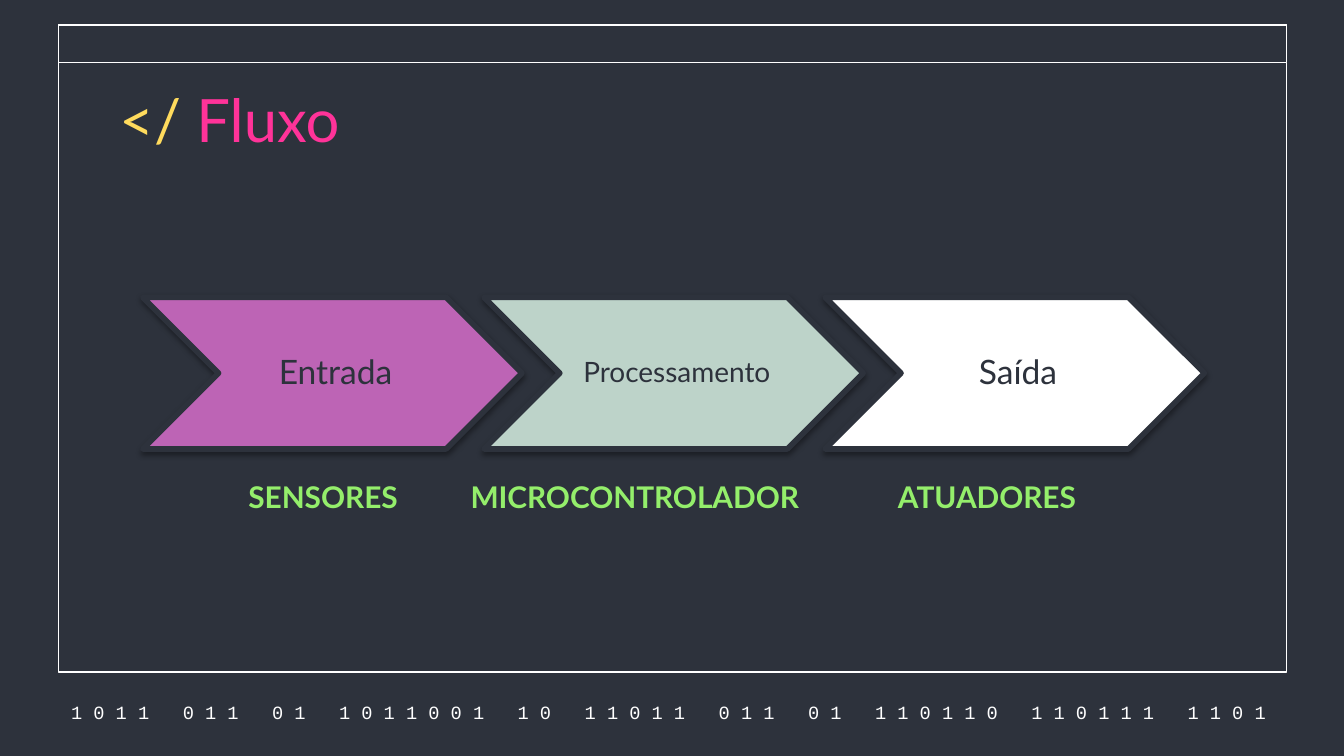
from lxml import etree
from pptx import Presentation
from pptx.dml.color import RGBColor
from pptx.enum.shapes import MSO_SHAPE
from pptx.enum.text import MSO_ANCHOR, PP_ALIGN
from pptx.oxml.ns import qn
from pptx.util import Pt

RECT, CHEVRON = MSO_SHAPE.RECTANGLE, MSO_SHAPE.CHEVRON
TOP, MIDDLE = MSO_ANCHOR.TOP, MSO_ANCHOR.MIDDLE
LEFT, CENTER = PP_ALIGN.LEFT, PP_ALIGN.CENTER

DARK, WHITE = "2D323C", "FFFFFF"
YELLOW, PINK, GREEN = "FFDB5D", "FF3399", "94EE6B"


def rgb(value):
    return RGBColor.from_string(value)


def add_run(p, text, size=18, color=WHITE, font="Lato", bold=False, spacing=0):
    r = p.add_run()
    r.text = text
    r.font.size = Pt(size)
    r.font.name = font
    r.font.bold = bold
    r.font.color.rgb = rgb(color)
    if spacing:
        r.font._element.set("spc", str(spacing * 100))
    return r


class SlideBuilder:
    def __init__(self, prs):
        self.s = prs.slides.add_slide(prs.slide_layouts[6])
        fill = self.s.background.fill
        fill.solid()
        fill.fore_color.rgb = rgb(DARK)

    def shape(self, kind, x, y, w, h, fill, line, line_width):
        sp = self.s.shapes.add_shape(kind, Pt(x), Pt(y), Pt(w), Pt(h))
        sp.shadow.inherit = False
        sp.fill.solid()
        sp.fill.fore_color.rgb = rgb(fill)
        sp.line.color.rgb = rgb(line)
        sp.line.width = Pt(line_width)
        return sp

    def paragraph(self, sp, inset=7.2, anchor=TOP, align=LEFT, wrap=True):
        tf = sp.text_frame
        tf.word_wrap = wrap
        tf.vertical_anchor = anchor
        tf.margin_left = tf.margin_right = Pt(inset)
        tf.margin_top = tf.margin_bottom = Pt(min(inset, 3.6))
        p = tf.paragraphs[0]
        p.alignment = align
        return p

    def text_box(self, x, y, w, h, **layout):
        sp = self.s.shapes.add_textbox(Pt(x), Pt(y), Pt(w), Pt(h))
        return self.paragraph(sp, **layout)

    def step(self, x, y, w, h, text, fill, size):
        sp = self.shape(CHEVRON, x, y, w, h, fill, DARK, 3)
        self.shadow(sp)
        p = self.paragraph(sp, inset=2, anchor=MIDDLE, align=CENTER)
        sp.text_frame.margin_left = Pt(5.5)
        p.line_spacing = 0.9
        add_run(p, text, size=size, color=DARK)

    def shadow(self, sp):
        effects = sp._element.spPr.find(qn("a:effectLst"))
        outer = etree.SubElement(
            effects, qn("a:outerShdw"), blurRad=str(Pt(3.1)),
            dist=str(Pt(1.6)), dir="5400000", rotWithShape="0")
        color = etree.SubElement(outer, qn("a:srgbClr"), val="000000")
        etree.SubElement(color, qn("a:alpha"), val="38000")

    def tabs(self, p, stops):
        tab_list = etree.SubElement(p._p.get_or_add_pPr(), qn("a:tabLst"))
        for stop in stops:
            etree.SubElement(tab_list, qn("a:tab"), pos=str(Pt(stop)), algn="l")


def main():
    prs = Presentation()
    prs.slide_width, prs.slide_height = Pt(720), Pt(405)
    slide = SlideBuilder(prs)

    # Window frame and its title bar
    for height in (346.5, 20):
        slide.shape(RECT, 31.2, 13.5, 658.2, height, DARK, WHITE, 0.75)

    # Binary strip: wider gaps between groups of digits
    groups = "1011 011 01 1011001 10 11011 011 01 110110 110111 1101".split()
    p = slide.text_box(24.4, 374.4, 667.4, 14.4, anchor=MIDDLE, align=CENTER)
    for i, group in enumerate(groups):
        if i:
            add_run(p, " ", size=10, font="Courier New", spacing=12)
        add_run(p, " ".join(group), size=10, font="Courier New")

    # Title
    p = slide.text_box(56.9, 41, 607, 44)
    add_run(p, "</ ", size=32, color=YELLOW)
    add_run(p, "Fluxo", size=32, color=PINK)

    # Flow of three steps
    steps = [("Entrada", "BD64B5", 18),
             ("Processamento", "BDD3C9", 15),
             ("Saída", WHITE, 18)]
    for i, (text, fill, size) in enumerate(steps):
        slide.step(76.5 + i * 182.8, 159.3, 203.1, 81.2, text, fill, size)

    # Device for each step
    p = slide.text_box(126, 252.7, 470.2, 26.6, wrap=False)
    slide.tabs(p, (119, 348))
    add_run(p, "SENSORES\tMICROCONTROLADOR\tATUADORES",
            size=16, color=GREEN, bold=True)

    prs.save("out.pptx")


if __name__ == "__main__":
    main()
